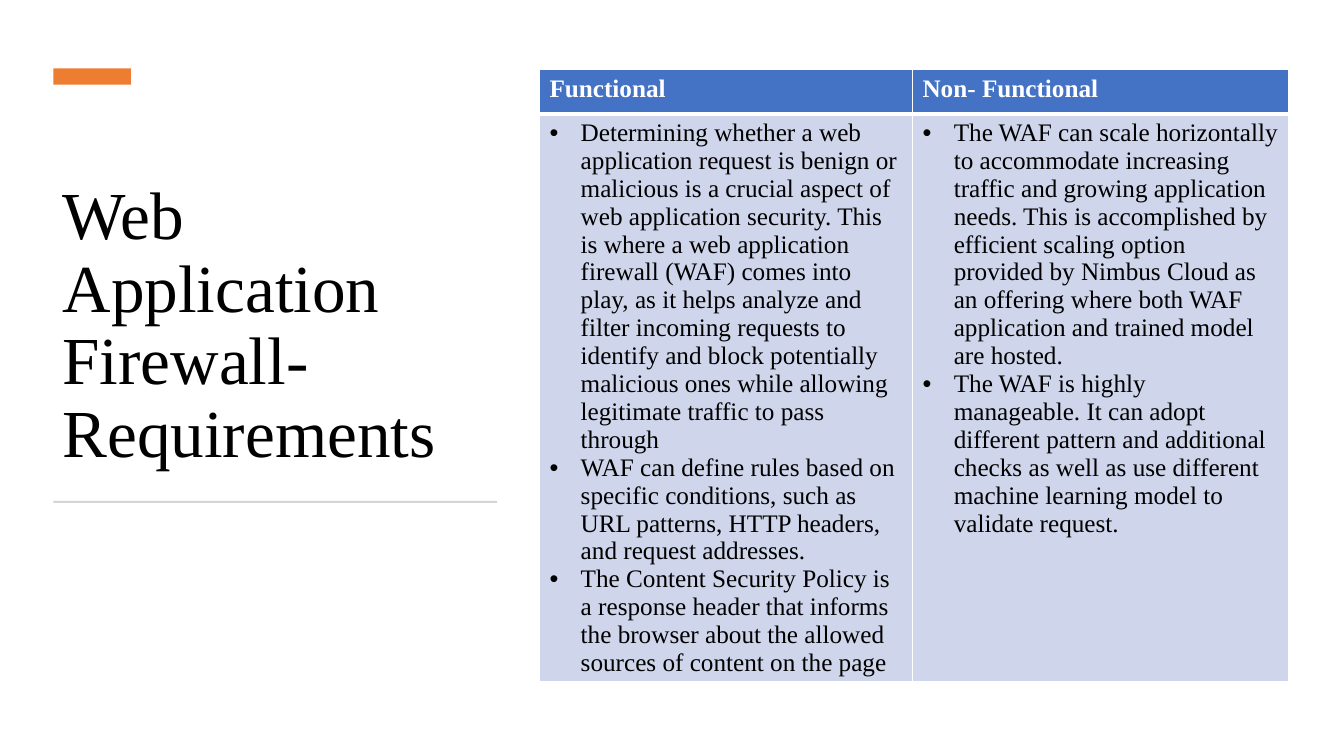
from dataclasses import dataclass

from lxml import etree
from pptx import Presentation
from pptx import util as u
from pptx.dml.color import RGBColor
from pptx.enum import shapes, text
from pptx.oxml import ns


@dataclass(frozen=True)
class Theme:
    font: str = "Times New Roman"
    title_size: int = 48
    table_size: int = 18
    ink: str = "000000"
    white: str = "FFFFFF"
    accent: str = "ED7D31"
    rule: str = "D5D5D5"
    header_fill: str = "4472C4"
    body_fill: str = "CFD5EA"


THEME = Theme()

TITLE = "Web Application Firewall- Requirements"
REQUIREMENTS = {
    "Functional": [
        "Determining whether a web application request is benign or malicious is a crucial "
        "aspect of web application security. This is where a web application firewall (WAF) "
        "comes into play, as it helps analyze and filter incoming requests to identify and "
        "block potentially malicious ones while allowing legitimate traffic to pass through",
        "WAF can define rules based on specific conditions, such as URL patterns, HTTP "
        "headers, and request addresses.",
        "The Content Security Policy is a response header that informs the browser about "
        "the allowed sources of content on the page",
    ],
    "Non- Functional": [
        "The WAF can scale horizontally to accommodate increasing traffic and growing "
        "application needs. This is accomplished by efficient scaling option provided by "
        "Nimbus Cloud as an offering where both WAF application and trained model are hosted.",
        "The WAF is highly manageable. It can adopt different pattern and additional checks "
        "as well as use different machine learning model to validate request.",
    ],
}
COLUMN_WIDTHS = (3.7, 3.73)
ROW_HEIGHTS = (0.44, 5.53)


def box(left, top, width, height):
    return [u.Inches(length) for length in (left, top, width, height)]


def format_runs(paragraph, size, color, bold=False):
    for run in paragraph.runs:
        run.font.name = THEME.font
        run.font.size = u.Pt(size)
        run.font.bold = bold
        run.font.color.rgb = RGBColor.from_string(color)


def add_title(slide):
    title = slide.shapes.title
    title.left, title.top, title.width, title.height = box(0.52, 1.23, 4.4, 3.5)
    frame = title.text_frame
    frame.text = TITLE
    frame.word_wrap = True
    frame.auto_size = text.MSO_AUTO_SIZE.NONE
    frame.vertical_anchor = text.MSO_ANCHOR.BOTTOM
    paragraph = frame.paragraphs[0]
    paragraph.alignment = text.PP_ALIGN.LEFT
    paragraph.line_spacing = 0.9
    format_runs(paragraph, THEME.title_size, THEME.ink)


def add_bar(slide, bounds, color):
    bar = slide.shapes.add_shape(shapes.MSO_SHAPE.RECTANGLE, *box(*bounds))
    bar.shadow.inherit = False
    bar.fill.solid()
    bar.fill.fore_color.rgb = RGBColor.from_string(color)
    bar.line.fill.background()


def add_bullet(paragraph):
    properties = paragraph._p.get_or_add_pPr()
    indent = u.Inches(0.31)
    properties.set("marL", str(indent))
    properties.set("indent", str(-indent))
    etree.SubElement(properties, ns.qn("a:buFont"), typeface="Arial")
    etree.SubElement(properties, ns.qn("a:buChar"), char="•")


def set_borders(cell, bottom_width):
    """Draw white cell borders; the schema wants them ahead of the fill."""
    properties = cell._tc.get_or_add_tcPr()
    for position, side in enumerate("LRTB"):
        width = u.Pt(bottom_width if side == "B" else 1)
        line = etree.Element(ns.qn(f"a:ln{side}"), w=str(width))
        fill = etree.SubElement(line, ns.qn("a:solidFill"))
        etree.SubElement(fill, ns.qn("a:srgbClr"), val=THEME.white)
        properties.insert(position, line)


def fill_cell(cell, lines, is_header):
    cell.fill.solid()
    fill_color = THEME.header_fill if is_header else THEME.body_fill
    cell.fill.fore_color.rgb = RGBColor.from_string(fill_color)
    set_borders(cell, bottom_width=3 if is_header else 1)
    cell.text_frame.text = "\n".join(lines)
    for paragraph in cell.text_frame.paragraphs:
        format_runs(paragraph, THEME.table_size,
                    THEME.white if is_header else THEME.ink, bold=is_header)
        if not is_header:
            add_bullet(paragraph)


def add_requirements_table(slide):
    bounds = box(5.35, 0.69, sum(COLUMN_WIDTHS), sum(ROW_HEIGHTS))
    table = slide.shapes.add_table(len(ROW_HEIGHTS), len(COLUMN_WIDTHS), *bounds).table
    table.horz_banding = False
    for row, height in zip(table.rows, ROW_HEIGHTS):
        row.height = u.Inches(height)
    for index, (heading, points) in enumerate(REQUIREMENTS.items()):
        table.columns[index].width = u.Inches(COLUMN_WIDTHS[index])
        fill_cell(table.cell(0, index), [heading], is_header=True)
        fill_cell(table.cell(1, index), points, is_header=False)
    # The first body row must also carry the thick rule below the header.
    for cell in table.rows[1].cells:
        cell._tc.tcPr.find(ns.qn("a:lnT")).set("w", str(u.Pt(3)))


def main():
    presentation = Presentation()
    presentation.slide_width = u.Inches(13.33)
    presentation.slide_height = u.Inches(7.5)
    title_only = presentation.slide_layouts[5]
    slide = presentation.slides.add_slide(title_only)
    add_title(slide)
    add_bar(slide, (0.53, 0.68, 0.77, 0.16), THEME.accent)
    add_bar(slide, (0.53, 4.97, 4.4, 0.02), THEME.rule)
    add_requirements_table(slide)
    presentation.save("out.pptx")


if __name__ == "__main__":
    main()
